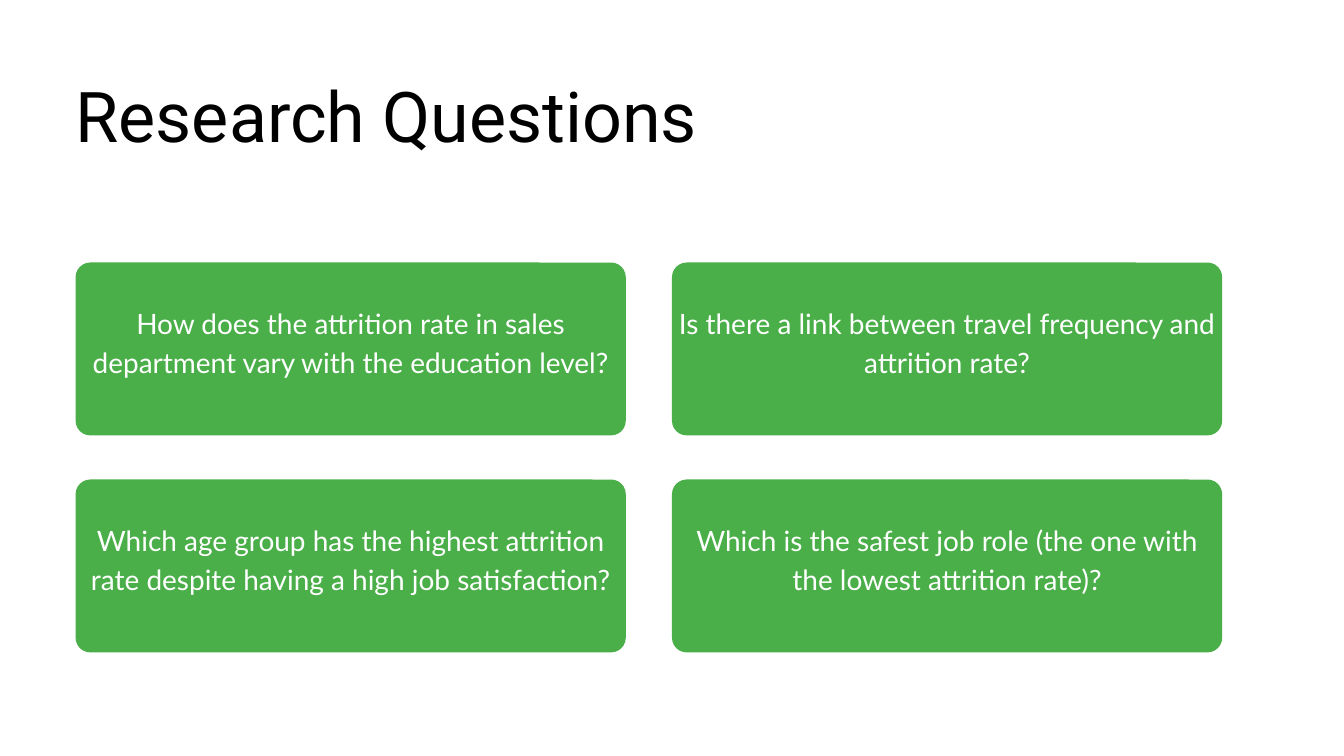
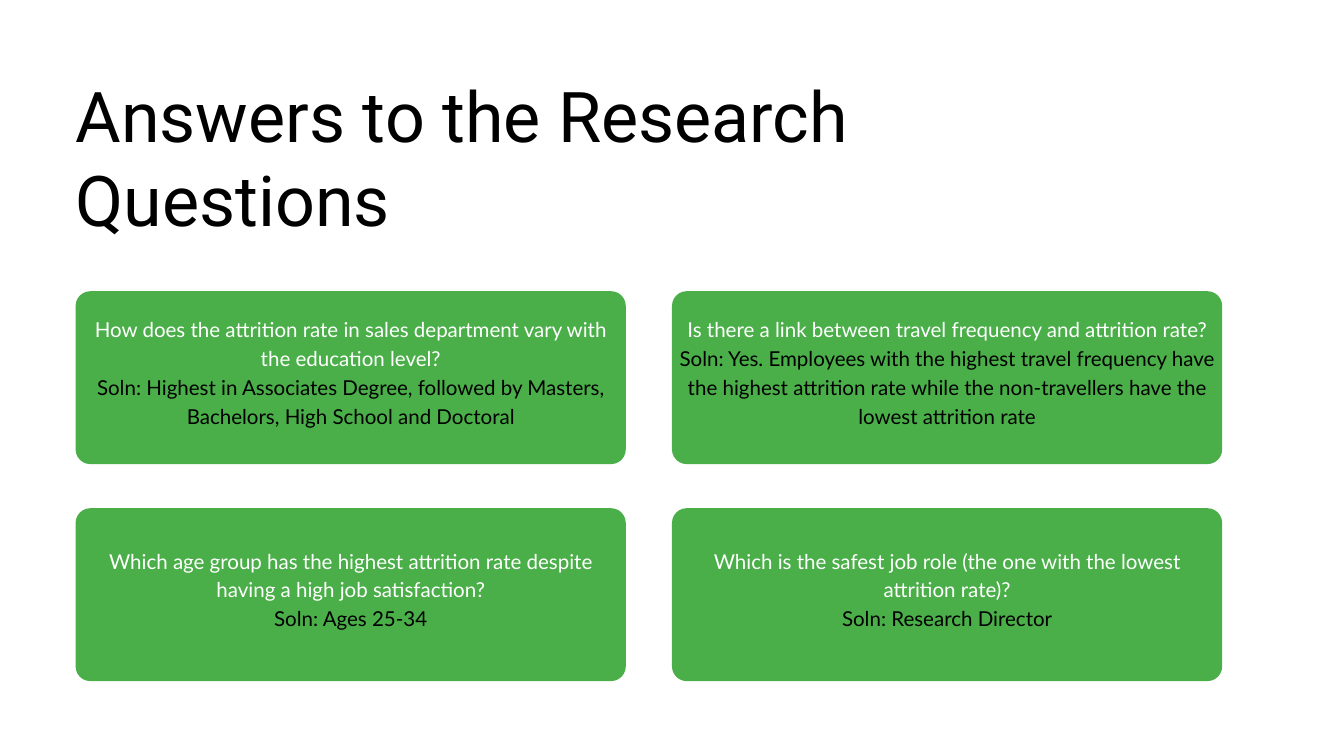
"""Build two slides: the research questions and their answers."""
from dataclasses import dataclass

import pptx
import pptx.dml.color
import pptx.enum.shapes
import pptx.enum.text
import pptx.util

PX = 9525
INKS = {"card": "4AAF48", "light": "FFFFFF", "dark": "000000"}
LEFT = 108
CARD_W, CARD_H = 786, 247
STEP_X, STEP_Y = 852, 310
RADIUS = 21
PAD = 6


@dataclass(frozen=True)
class Box:
    """A rectangle in px."""
    left: int
    top: int
    width: int
    height: int

    def emu(self) -> list[pptx.util.Emu]:
        """Return the four lengths in EMU."""
        sides = (self.left, self.top, self.width, self.height)
        return [pptx.util.Emu(side * PX) for side in sides]


@dataclass(frozen=True)
class Style:
    """A font with its size and line pitch in points."""
    face: str
    size: float
    pitch: float


@dataclass(frozen=True)
class Page:
    """A slide with a title and a grid of cards."""
    title: str
    title_h: int
    top: int
    rise: int
    style: Style
    cards: list[list[str]]


HEAD = Style("Roboto", 75, 90)
ASKS = [
    "How does the attrition rate in sales department vary with the education level?",
    "Is there a link between travel frequency and attrition rate?",
    "Which age group has the highest attrition rate despite having a high job satisfaction?",
    "Which is the safest job role (the one with the lowest attrition rate)?",
]
REPLIES = [
    "Soln: Highest in Associates Degree, followed by Masters, Bachelors, High School and Doctoral",
    "Soln: Yes. Employees with the highest travel frequency have the highest attrition rate"
    " while the non-travellers have the lowest attrition rate",
    "Soln: Ages 25-34",
    "Soln: Research Director",
]
PAGES = [
    Page("Research Questions", 139, 375, 26, Style("Lato", 30, 42),
         [[ask] for ask in ASKS]),
    Page("Answers to the Research Questions", 259, 416, 20, Style("Lato", 22, 30.8),
         [list(pair) for pair in zip(ASKS, REPLIES)]),
]


def color(name: str) -> pptx.dml.color.RGBColor:
    """Look up a named colour."""
    return pptx.dml.color.RGBColor.from_string(INKS[name])


def write(shapes, box: Box, lines: list[str], style: Style, inks: list[str],
          align, anchor, pad: int = 0):
    """Add a text box with one paragraph per line and return its frame."""
    frame = shapes.add_textbox(*box.emu()).text_frame
    frame.word_wrap = True
    frame.vertical_anchor = anchor
    frame.margin_left = frame.margin_right = pad * PX
    frame.margin_top = frame.margin_bottom = pad * PX
    frame.text = "\n".join(lines)
    for para, ink in zip(frame.paragraphs, inks):
        para.alignment = align
        para.line_spacing = pptx.util.Pt(style.pitch)
        para.font.name = style.face
        para.font.size = pptx.util.Pt(style.size)
        para.font.color.rgb = color(ink)
    return frame


def draw_card(slide, box: Box, lines: list[str], page: Page) -> None:
    """Draw a rounded card with centred text as one group."""
    shapes = slide.shapes.add_group_shape().shapes
    card = shapes.add_shape(pptx.enum.shapes.MSO_SHAPE.ROUNDED_RECTANGLE, *box.emu())
    card.adjustments[0] = RADIUS / CARD_H
    card.shadow.inherit = False
    card.fill.solid()
    card.fill.fore_color.rgb = color("card")
    card.line.fill.background()
    area = Box(box.left, box.top - page.rise, box.width, box.height + page.rise)
    write(shapes, area, lines, page.style, ["light", "dark"],
          pptx.enum.text.PP_ALIGN.CENTER, pptx.enum.text.MSO_ANCHOR.MIDDLE, PAD)


def draw_page(deck, page: Page) -> None:
    """Add a slide with its title and a two-column grid of cards."""
    slide = deck.slides.add_slide(deck.slide_layouts[6])
    title = write(slide.shapes, Box(LEFT, 104, 1489, page.title_h), [page.title],
                  HEAD, ["dark"], pptx.enum.text.PP_ALIGN.LEFT,
                  pptx.enum.text.MSO_ANCHOR.TOP)
    title.auto_size = pptx.enum.text.MSO_AUTO_SIZE.SHAPE_TO_FIT_TEXT
    for spot, lines in enumerate(page.cards):
        row, col = divmod(spot, 2)
        box = Box(LEFT + col * STEP_X, page.top + row * STEP_Y, CARD_W, CARD_H)
        draw_card(slide, box, lines, page)


def main() -> None:
    """Build and save the deck."""
    deck = pptx.Presentation()
    deck.slide_width = pptx.util.Emu(1920 * PX)
    deck.slide_height = pptx.util.Emu(1080 * PX)
    for page in PAGES:
        draw_page(deck, page)
    deck.save("out.pptx")


if __name__ == "__main__":
    main()
